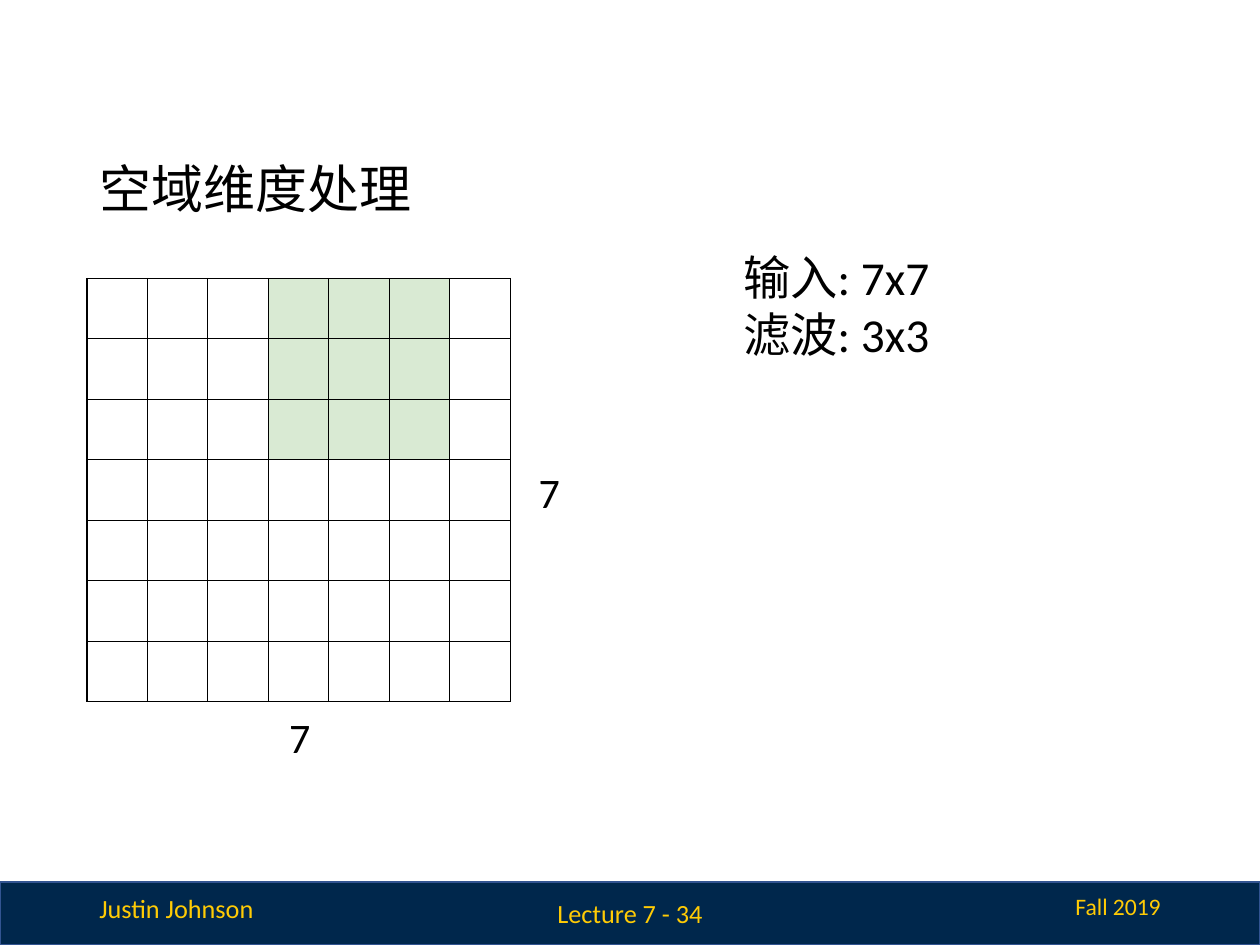
from lxml.etree import SubElement
from pptx import Presentation
from pptx.dml.color import RGBColor
from pptx.enum.shapes import MSO_SHAPE
from pptx.enum.text import MSO_ANCHOR, PP_ALIGN
from pptx.oxml.ns import qn
from pptx.util import Inches, Pt

NAVY = RGBColor(0x00, 0x27, 0x4C)
BAR_EDGE = RGBColor(0x32, 0x54, 0x91)
MAIZE = RGBColor(0xFF, 0xCB, 0x05)
BLACK = RGBColor(0x00, 0x00, 0x00)
FILTER_GREEN = RGBColor(0xD9, 0xEA, 0xD3)

GRID_SIZE = 7
CELL = 0.48
FILTER_ROWS = range(0, 3)
FILTER_COLUMNS = range(3, 6)


def add_text(slide, place, lines, size, color=BLACK, align=PP_ALIGN.LEFT,
             anchor=MSO_ANCHOR.TOP, inset=0.05, spacing=1.0):
    box = slide.shapes.add_textbox(*map(Inches, place))
    frame = box.text_frame
    frame_format = {
        "word_wrap": True, "vertical_anchor": anchor,
        "margin_left": Inches(0.1), "margin_right": Inches(0.1),
        "margin_top": Inches(inset), "margin_bottom": Inches(inset),
    }
    for name, value in frame_format.items():
        setattr(frame, name, value)
    frame.text = "\n".join(lines)
    for para in frame.paragraphs:
        para.alignment = align
        para.line_spacing = spacing
        for span in para.runs:
            for name, value in {"name": "Calibri", "size": Pt(size)}.items():
                setattr(span.font, name, value)
            span.font.color.rgb = color


def add_footer_bar(slide):
    bar = slide.shapes.add_shape(
        MSO_SHAPE.RECTANGLE, Inches(0), Inches(7), Inches(10), Inches(0.5))
    bar.shadow.inherit = False
    bar.fill.solid()
    bar.fill.fore_color.rgb = NAVY
    bar.line.color.rgb = BAR_EDGE
    bar.line.width = Pt(1)


def add_borders(cell):
    properties = cell._tc.get_or_add_tcPr()
    for side in ("lnL", "lnR", "lnT", "lnB"):
        line = SubElement(properties, qn(f"a:{side}"), w=str(Pt(0.75)))
        fill = SubElement(line, qn("a:solidFill"))
        SubElement(fill, qn("a:srgbClr"), val=str(BLACK))


def add_input_grid(slide, left, top):
    """Draw the square input with the filter's current position shaded."""
    side = Inches(GRID_SIZE * CELL)
    table = slide.shapes.add_table(
        GRID_SIZE, GRID_SIZE, Inches(left), Inches(top), side, side).table
    for name in ("first_row", "horz_banding"):
        setattr(table, name, False)
    for column in table.columns:
        column.width = Inches(CELL)
    for row_index, row in enumerate(table.rows):
        row.height = Inches(CELL)
        for column_index, cell in enumerate(row.cells):
            add_borders(cell)
            if row_index in FILTER_ROWS and column_index in FILTER_COLUMNS:
                cell.fill.solid()
                cell.fill.fore_color.rgb = FILTER_GREEN
            else:
                cell.fill.background()


def main():
    deck = Presentation()
    deck.slide_width, deck.slide_height = Inches(10), Inches(7.5)
    slide = deck.slides.add_slide(deck.slide_layouts[6])

    add_footer_bar(slide)
    add_text(slide, (0.69, 7.03, 1.44, 0.35), ["Justin Johnson"], 15, MAIZE)
    add_text(slide, (7.33, 7.03, 1.98, 0.33), ["Fall 2019"], 13.5, MAIZE,
             PP_ALIGN.RIGHT)
    add_text(slide, (3.65, 7.05, 2.7, 0.4), ["Lecture 7 - 34"], 15, MAIZE,
             PP_ALIGN.CENTER, MSO_ANCHOR.MIDDLE)

    add_text(slide, (0.69, 1.24, 6.32, 0.56), ["空域维度处理"], 29.7,
             anchor=MSO_ANCHOR.MIDDLE, spacing=0.9)
    add_input_grid(slide, 0.69, 2.21)
    for left, top in ((2.08, 5.6), (4.06, 3.65)):
        add_text(slide, (left, top, 0.6, 0.5), [str(GRID_SIZE)], 24,
                 align=PP_ALIGN.CENTER, anchor=MSO_ANCHOR.MIDDLE, inset=0.1)
    add_text(slide, (5.8, 1.87, 1.93, 1.04), ["输入: 7x7", "滤波: 3x3"], 27,
             inset=0.1)

    deck.save("out.pptx")


if __name__ == "__main__":
    main()
